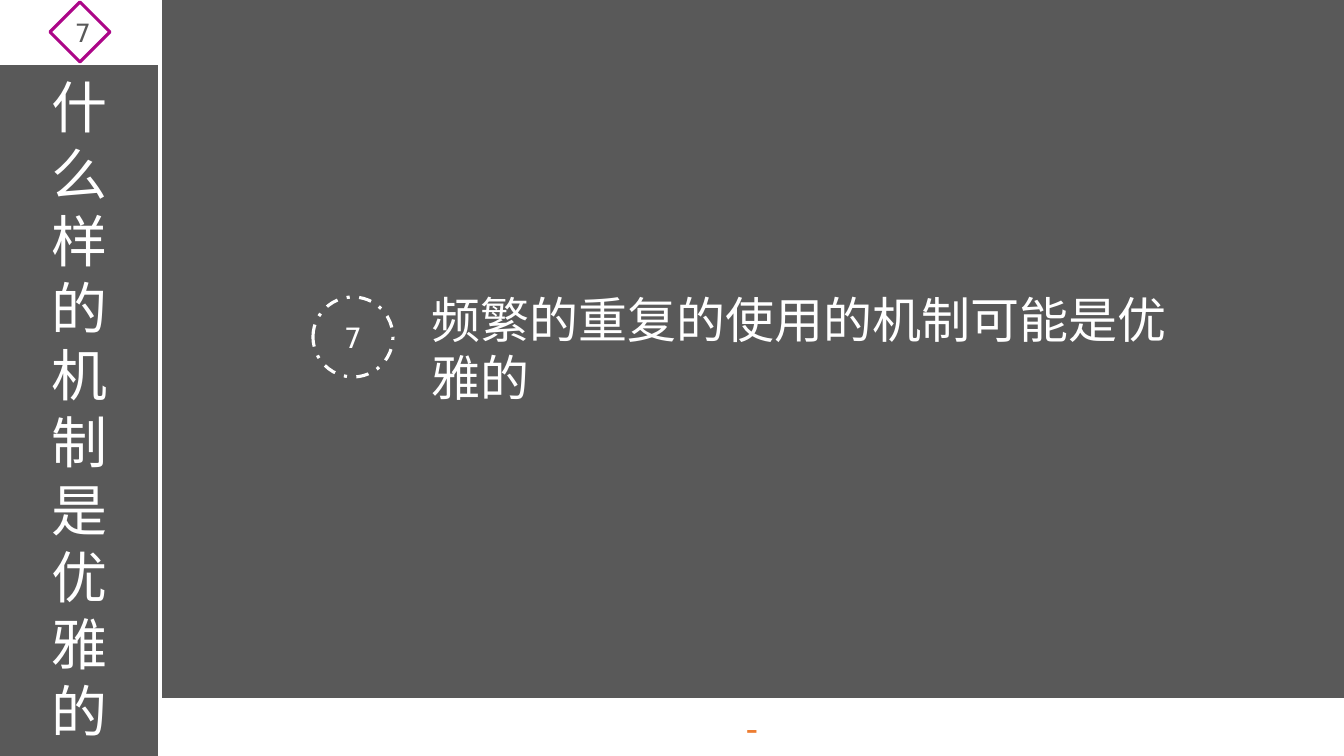
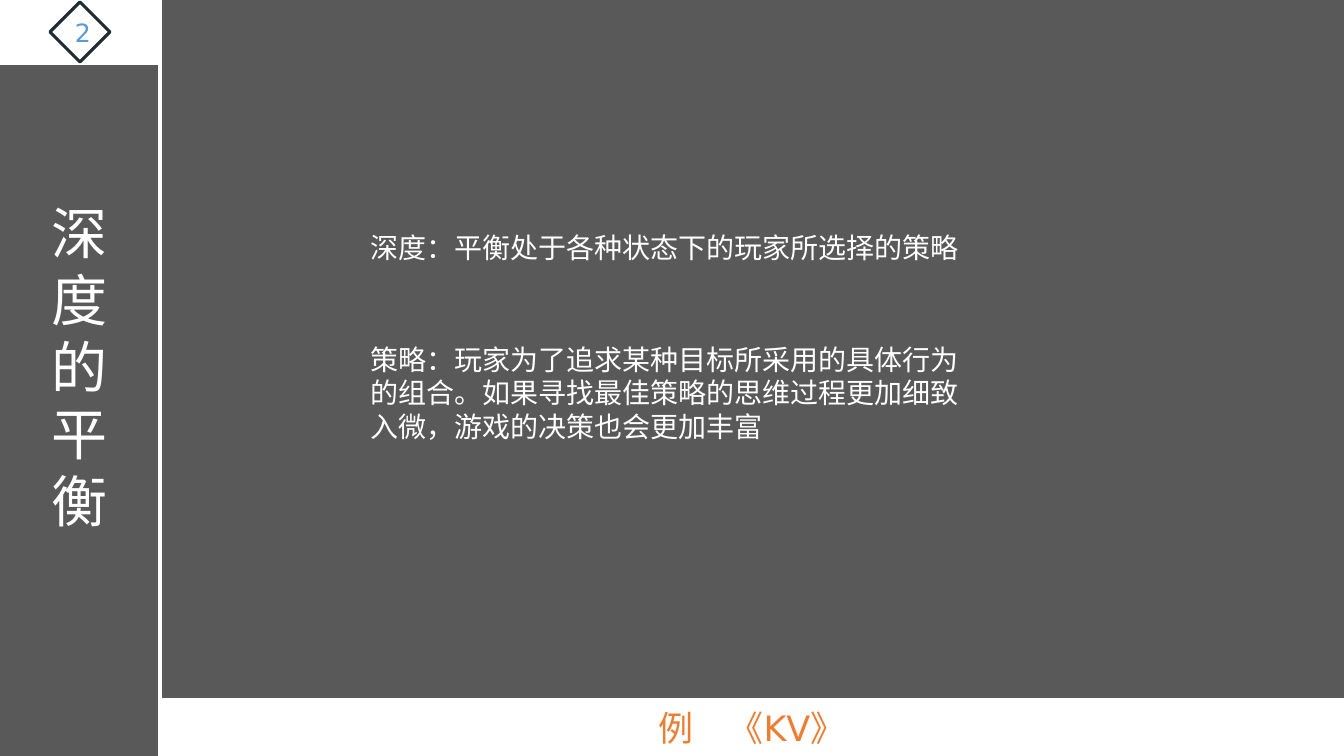
from dataclasses import dataclass

from lxml import etree
from pptx import Presentation
from pptx.dml.color import RGBColor
from pptx.enum.dml import MSO_LINE
from pptx.enum.shapes import MSO_CONNECTOR, MSO_SHAPE as SHAPE
from pptx.enum.text import MSO_ANCHOR as ANCHOR, MSO_AUTO_SIZE as FIT, PP_ALIGN as ALIGN
from pptx.oxml.ns import qn
from pptx.util import Pt


@dataclass(frozen=True)
class Theme:
    font: str = "DejaVu Sans"
    grey: str = "595959"
    white: str = "FFFFFF"
    orange: str = "ED7D31"
    magenta: str = "AC0688"
    navy: str = "222A35"
    blue: str = "5B9BD5"
    title_size: int = 40
    statement_size: int = 35
    footer_size: int = 25
    text_size: int = 20
    badge_size: int = 18
    band_line: float = 1.5
    rule_line: float = 2.25


theme = Theme()
SCALE = 12192000 / 1344  # EMU in one px
WIDTH, HEIGHT = 1344, 756
SIDEBAR = 160


def px(*lengths):
    return [round(length * SCALE) for length in lengths]


def write(shape, lines, size, color, align, anchor, gap=0):
    frame = shape.text_frame
    frame.word_wrap = True
    frame.auto_size = FIT.NONE
    frame.vertical_anchor = anchor
    frame.text = "\n".join(lines)
    for index, para in enumerate(frame.paragraphs):
        props = para._p.get_or_add_pPr()
        props.set("marL", "0")
        props.set("indent", "0")
        etree.SubElement(props, qn("a:buNone"))
        para.alignment = align
        para.space_before = Pt(gap if index else 0)
        para.font.name = theme.font
        para.font.size = Pt(size)
        para.font.color.rgb = RGBColor.from_string(color)


deck = Presentation()
deck.slide_width, deck.slide_height = px(WIDTH, HEIGHT)
backdrop = deck.slide_master.background.fill
backdrop.solid()
backdrop.fore_color.rgb = RGBColor.from_string(theme.grey)

pages = [
    dict(
        title="什么样的机制是优雅的", title_box=(28, 67, 103, 689),
        number="7", number_color=theme.grey, badge_color=theme.magenta,
        body=["频繁的重复的使用的机制可能是优雅的"],
        body_box=(421, 284, 770, 129), body_size=theme.statement_size,
        footer="-", ring="7",
    ),
    dict(
        title="深度的平衡", title_box=(28, 193, 103, 350),
        number="2", number_color=theme.blue, badge_color=theme.navy,
        body=[
            "深度：平衡处于各种状态下的玩家所选择的策略",
            "策略：玩家为了追求某种目标所采用的具体行为的组合。"
            "如果寻找最佳策略的思维过程更加细致入微，游戏的决策也会更加丰富",
        ],
        body_box=(360, 225, 631, 224), body_size=theme.text_size,
        footer="例　《KV》", ring=None,
    ),
]

for content in pages:
    page = deck.slides.add_slide(deck.slide_layouts[1])

    # Sidebar title, one character per line, and body text
    title, body = page.shapes.title, page.placeholders[1]
    for holder, box in ((title, content["title_box"]), (body, content["body_box"])):
        holder.left, holder.top, holder.width, holder.height = px(*box)
    write(title, [content["title"]], theme.title_size, theme.white, ALIGN.CENTER, ANCHOR.TOP)
    write(body, content["body"], content["body_size"], theme.white, ALIGN.LEFT, ANCHOR.TOP, gap=56)

    # Sidebar rule
    rule = page.shapes.add_connector(MSO_CONNECTOR.STRAIGHT, *px(SIDEBAR, 0, SIDEBAR, HEIGHT))
    rule.line.color.rgb = RGBColor.from_string(theme.white)
    rule.line.width = Pt(theme.rule_line)
    etree.SubElement(rule._element.spPr, qn("a:effectLst"))

    # Bands, page badge and ring: parent, shape, box, fill, line, width, text, size, text colour
    header = page.shapes.add_group_shape().shapes
    parts = [
        (header, SHAPE.RECTANGLE, (0, 0, SIDEBAR, 64), theme.white, theme.white,
         theme.band_line, None, None, None),
        (header, SHAPE.DIAMOND, (50, 2, 60, 60), None, content["badge_color"],
         theme.rule_line, content["number"], theme.badge_size, content["number_color"]),
        (page.shapes, SHAPE.RECTANGLE, (SIDEBAR, 699, WIDTH - SIDEBAR, 57), theme.white, theme.white,
         theme.band_line, content["footer"], theme.footer_size, theme.orange),
    ]
    if content["ring"]:
        parts.append((page.shapes, SHAPE.OVAL, (313, 297, 80, 80), None, theme.white,
                      theme.rule_line, content["ring"], theme.text_size, theme.white))
    for parent, kind, box, fill, line, width, text, size, color in parts:
        shape = parent.add_shape(kind, *px(*box))
        shape.shadow.inherit = False
        if fill:
            shape.fill.solid()
            shape.fill.fore_color.rgb = RGBColor.from_string(fill)
        else:
            shape.fill.background()
        shape.line.color.rgb = RGBColor.from_string(line)
        shape.line.width = Pt(width)
        if kind == SHAPE.OVAL:
            shape.line.dash_style = MSO_LINE.DASH_DOT
        if text:
            write(shape, [text], size, color, ALIGN.CENTER, ANCHOR.MIDDLE)

deck.save("out.pptx")
